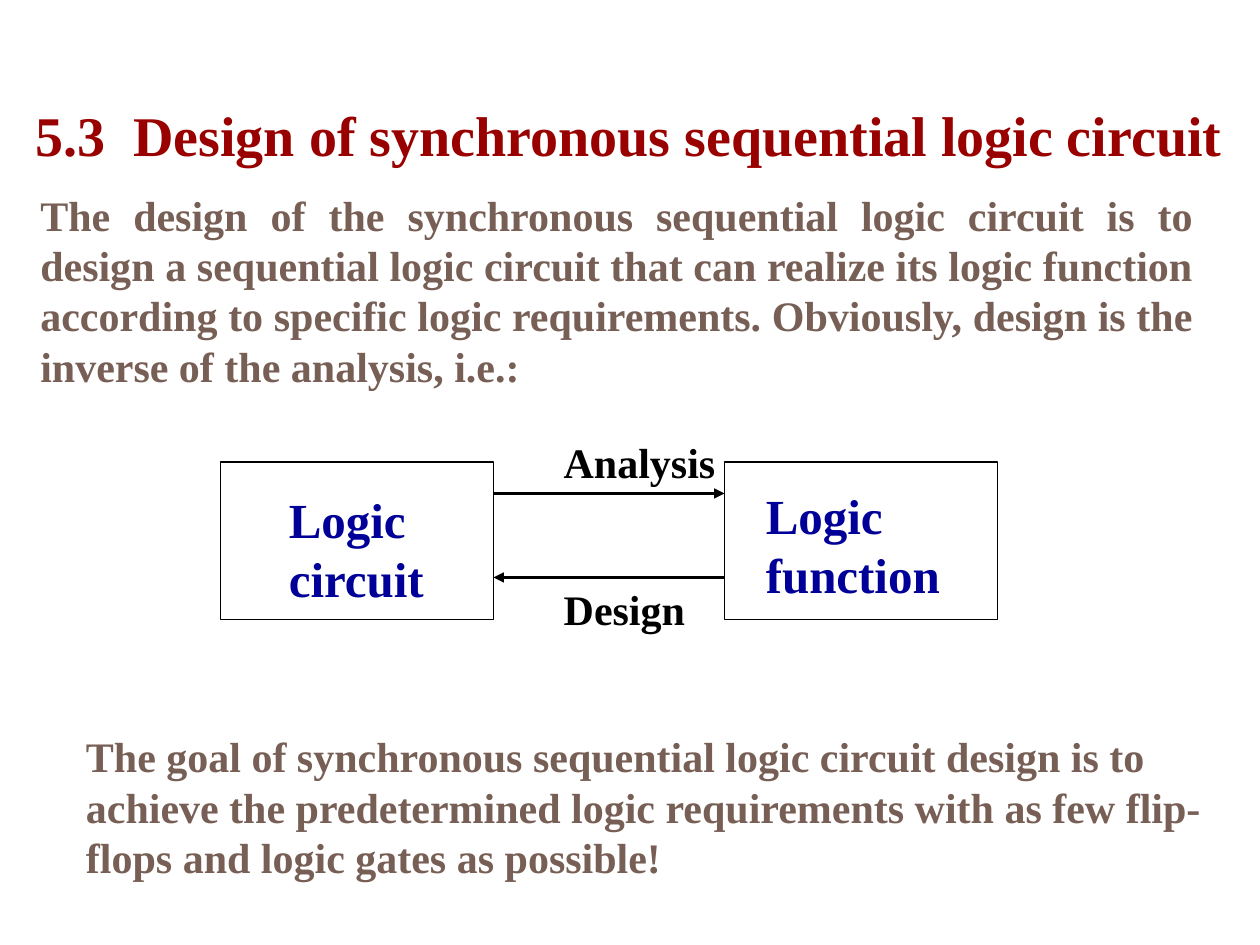
from lxml import etree
from pptx import Presentation
from pptx.dml.color import RGBColor
from pptx.enum.shapes import MSO_CONNECTOR, MSO_SHAPE
from pptx.enum.text import MSO_ANCHOR, MSO_AUTO_SIZE, PP_ALIGN
from pptx.oxml.ns import qn
from pptx.util import Pt

LEFT, JUSTIFY = PP_ALIGN.LEFT, PP_ALIGN.JUSTIFY
TOP, GROW = MSO_ANCHOR.TOP, MSO_AUTO_SIZE.SHAPE_TO_FIT_TEXT
RECT, STRAIGHT = MSO_SHAPE.RECTANGLE, MSO_CONNECTOR.STRAIGHT
FONT = "Times New Roman"
RED, BROWN, BLUE, BLACK = "990000", "775F55", "000099", "000000"

TITLE = ("5.3  Design of synchronous sequential logic circuit",
         (13, 54, 699, 46), 32, RED, False, LEFT)
TEXTS = [
    ("The design of the synchronous sequential logic circuit is to design a "
     "sequential logic circuit that can realize its logic function according "
     "to specific logic requirements. Obviously, design is the inverse of the "
     "analysis, i.e.:", (16, 104.5, 673, 124), 24, BROWN, True, JUSTIFY),
    ("The goal of synchronous sequential logic circuit design is to achieve "
     "the predetermined logic requirements with as few flip-flops and logic "
     "gates as possible!", (42, 414, 660, 94), 24, BROWN, True, LEFT),
    ("Logic\ncircuit", (158, 276, 92, 75), 28, BLUE, False, LEFT),
    ("Logic function", (430.5, 274, 134, 75), 28, BLUE, True, LEFT),
    ("Analysis", (315, 246, 102, 37), 24, BLACK, False, LEFT),
    ("Design", (315, 330, 85, 37), 24, BLACK, False, LEFT),
]
BOX_LEFTS, BOX_TOP, BOX_W, BOX_H = (126, 414), 264, 156, 90
ANALYSIS_Y, DESIGN_Y = 282, 330


def rgb(value):
    """Return the colour for a hex string."""
    return RGBColor.from_string(value)


def write(sp, text, place, size, color, wrap, align):
    """Place a text shape and format its text."""
    sp.left, sp.top, sp.width, sp.height = map(Pt, place)
    tf = sp.text_frame
    tf.text = text
    tf.word_wrap, tf.auto_size, tf.vertical_anchor = wrap, GROW, TOP
    for p in tf.paragraphs:
        p.alignment = align
        for r in p.runs:
            r.font.name, r.font.size, r.font.bold = FONT, Pt(size), True
            r.font.color.rgb = rgb(color)


def add_box(s, left):
    """Add an outlined block of the diagram."""
    sp = s.shapes.add_shape(RECT, Pt(left), Pt(BOX_TOP), Pt(BOX_W), Pt(BOX_H))
    sp.shadow.inherit = False
    sp.fill.background()
    sp.line.color.rgb = rgb(BLACK)
    sp.line.width = Pt(0.75)


def add_arrow(s, start, end, y):
    """Add a horizontal arrow pointing at its end."""
    c = s.shapes.add_connector(STRAIGHT, Pt(start), Pt(y), Pt(end), Pt(y))
    c.line.color.rgb = rgb(BLACK)
    c.line.width = Pt(1.5)
    etree.SubElement(c.line._get_or_add_ln(), qn("a:tailEnd"), type="triangle")
    etree.SubElement(c._element.spPr, qn("a:effectLst"))


def main():
    """Build and save the slide."""
    prs = Presentation()
    prs.slide_width, prs.slide_height = Pt(720), Pt(540)
    s = prs.slides.add_slide(prs.slide_layouts[5])
    write(s.shapes.title, *TITLE)
    for text, place, *style in TEXTS:
        write(s.shapes.add_textbox(*map(Pt, place)), text, place, *style)
    for left in BOX_LEFTS:
        add_box(s, left)
    circuit_edge, function_edge = BOX_LEFTS[0] + BOX_W, BOX_LEFTS[1]
    add_arrow(s, circuit_edge, function_edge, ANALYSIS_Y)
    add_arrow(s, function_edge, circuit_edge, DESIGN_Y)
    prs.save("out.pptx")


if __name__ == "__main__":
    main()
